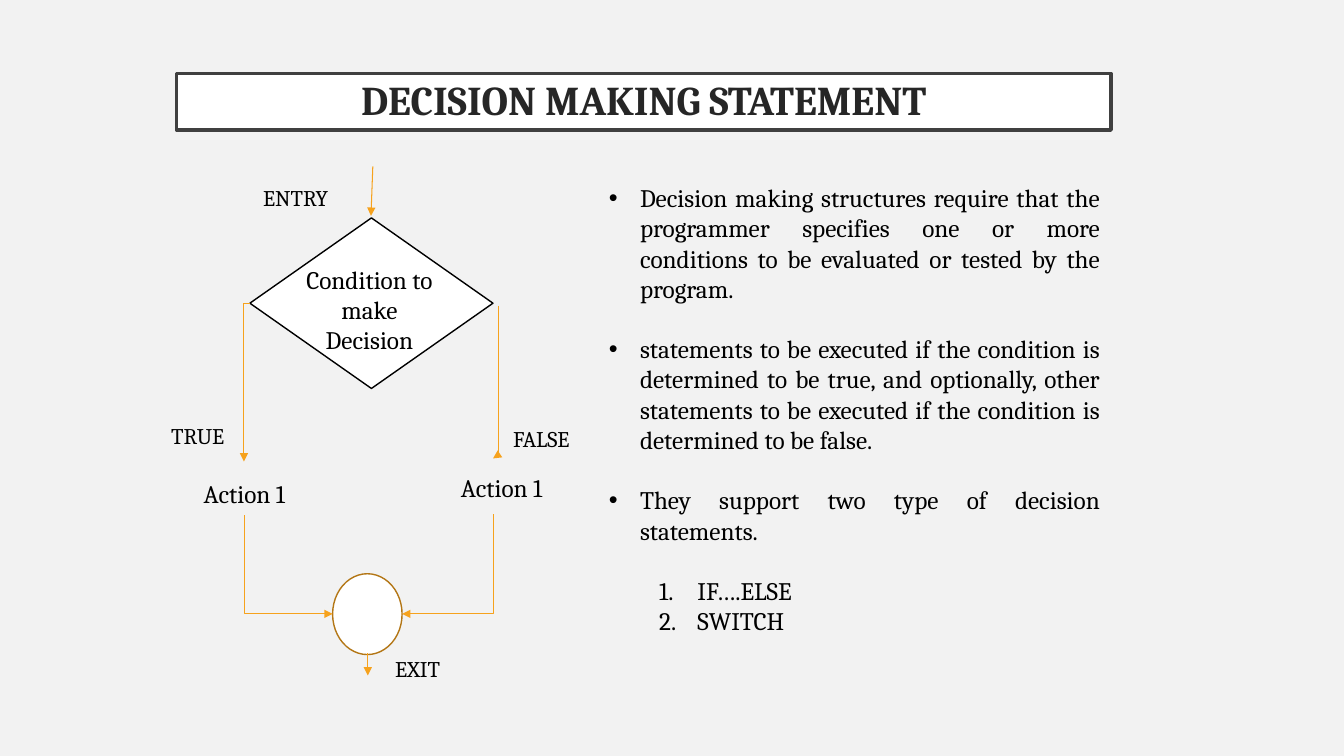
from dataclasses import dataclass

from lxml.etree import SubElement
from pptx import Presentation
from pptx.dml.color import RGBColor
from pptx.enum.shapes import MSO_CONNECTOR as Link, MSO_SHAPE as Shape
from pptx.enum.text import MSO_ANCHOR as Anchor, PP_ALIGN as Align
from pptx.oxml.ns import qn
from pptx.util import Inches, Pt

BACKGROUND = RGBColor(0xF2, 0xF2, 0xF2)
WHITE = RGBColor(0xFF, 0xFF, 0xFF)
BLACK = RGBColor(0, 0, 0)
FRAME = RGBColor(0x40, 0x40, 0x40)
TITLE_INK = RGBColor(0x26, 0x26, 0x26)
ARROW = RGBColor(0xF6, 0xA2, 0x1D)
RING = RGBColor(0xB3, 0x76, 0x15)
FONT = "Cambria"

POINTS = [
    "Decision making structures require that the programmer specifies one or more "
    "conditions to be evaluated or tested by the program.",
    "statements to be executed if the condition is determined to be true, and "
    "optionally, other statements to be executed if the condition is determined "
    "to be false.",
    "They support two type of decision statements.",
]
STATEMENTS = ["IF….ELSE", "SWITCH"]


@dataclass
class Box:
    """A region whose areas are given in percent of its size."""
    left: int
    top: int
    width: int
    height: int

    def point(self, x, y):
        """Return the position at x and y percent."""
        return (int(self.left + self.width * x / 100),
                int(self.top + self.height * y / 100))

    def area(self, x, y, width, height):
        """Return the area at x and y percent with a size in percent."""
        return Box(*self.point(x, y), int(self.width * width / 100),
                   int(self.height * height / 100))

    def place(self):
        """Return left, top, width and height."""
        return self.left, self.top, self.width, self.height


def style(paragraph, size, color=BLACK, bold=False, align=Align.LEFT):
    """Format a paragraph and its runs."""
    paragraph.alignment = align
    for run in paragraph.runs:
        run.font.name, run.font.size, run.font.bold = FONT, Pt(size), bold
        run.font.color.rgb = color


def add_label(slide, box, text, size, align=Align.LEFT):
    """Add a wrapping line of text."""
    frame = slide.shapes.add_textbox(*box.place()).text_frame
    frame.word_wrap = True
    frame.text = text
    style(frame.paragraphs[0], size, align=align)


def add_node(slide, box, kind, color):
    """Add a white flowchart symbol with a coloured outline."""
    node = slide.shapes.add_shape(kind, *box.place())
    node.shadow.inherit = False
    node.fill.solid()
    node.fill.fore_color.rgb = WHITE
    node.line.color.rgb = color
    node.line.width = Pt(1)


def add_arrow(slide, kind, start, end):
    """Add an arrow with a triangular head."""
    arrow = slide.shapes.add_connector(kind, *start, *end)
    arrow.line.color.rgb = ARROW
    arrow.line.width = Pt(0.75)
    properties = arrow._element.spPr
    SubElement(properties.find(qn("a:ln")), qn("a:tailEnd"), type="triangle")
    SubElement(properties, qn("a:effectLst"))
    return arrow


def add_bent_arrow(slide, start, end, down_first):
    """Add an arrow with one corner, leaving downwards or sideways."""
    (x1, y1), (x2, y2) = start, end
    if down_first:
        middle_x, middle_y = (x1 + x2) // 2, (y1 + y2) // 2
        half_run, half_rise = abs(y2 - y1) // 2, abs(x2 - x1) // 2
        side = 1 if x2 < x1 else -1
        start = middle_x - side * half_run, middle_y - half_rise
        end = middle_x + side * half_run, middle_y + half_rise
    properties = add_arrow(slide, Link.ELBOW, start, end)._element.spPr
    properties.find(qn("a:prstGeom")).set("prst", "bentConnector2")
    if down_first:
        turn = 90 if x2 < x1 else 270
        properties.find(qn("a:xfrm")).set("rot", str(turn * 60000))


def add_title(slide, box):
    """Place the framed title."""
    title = slide.shapes.title
    title.left, title.top, title.width, title.height = box.place()
    title.fill.solid()
    title.fill.fore_color.rgb = WHITE
    title.line.color.rgb = FRAME
    title.line.width = Pt(2.5)
    frame = title.text_frame
    frame.text = "DECISION MAKING STATEMENT"
    frame.vertical_anchor = Anchor.MIDDLE
    frame.margin_left = frame.margin_right = Inches(0.2)
    frame.margin_top = frame.margin_bottom = Inches(0.2)
    frame.paragraphs[0].line_spacing = 0.9
    style(frame.paragraphs[0], 29.2, TITLE_INK, True, Align.CENTER)


def add_flowchart(slide, box):
    """Draw the two-way decision flowchart."""
    add_node(slide, box.area(19.4, 9.9, 53.2, 32.7), Shape.DIAMOND, BLACK)
    add_node(slide, box.area(37.5, 78.1, 15.2, 15.5), Shape.OVAL, RING)
    for text, share in [
        ("Action 1", (2.2, 58.9, 32, 7.7)),
        ("Action 1", (58.5, 57.8, 32, 7.7)),
        ("Condition to make Decision", (29.1, 17.8, 32.9, 19.5)),
    ]:
        add_label(slide, box.area(*share), text, 18, Align.CENTER)
    for text, x, y in [("ENTRY", 20.1, 2.5), ("TRUE", 0, 48.1),
                       ("FALSE", 74.8, 48.7), ("EXIT", 49, 92.8)]:
        add_label(slide, box.area(x, y, 24.7, 7.1), text, 16)
    for start, end, down_first in [
        ((19.4, 26.3), (18.1, 56.6), False),
        ((73.7, 26.7), (72.6, 56), True),
        ((18.1, 66.9), (37.5, 85.8), True),
        ((72.6, 66.7), (52.7, 85.8), True),
    ]:
        add_bent_arrow(slide, box.point(*start), box.point(*end), down_first)
    for start, end in [((46.3, 0), (45.9, 9.5)), ((45.2, 93.4), (45.2, 97.6))]:
        add_arrow(slide, Link.STRAIGHT, box.point(*start), box.point(*end))


def add_explanation(slide, box):
    """Write the bullets and the numbered statements."""
    frame = slide.shapes.add_textbox(*box.place()).text_frame
    frame.word_wrap = True
    frame.text = "\n".join(POINTS + STATEMENTS)
    for index, paragraph in enumerate(frame.paragraphs):
        numbered = index >= len(POINTS)
        margin, hanging = (0.88, 0.38) if numbered else (0.31, 0.31)
        properties = paragraph._p.get_or_add_pPr()
        properties.set("marL", str(Inches(margin)))
        properties.set("indent", str(-Inches(hanging)))
        if 0 < index <= len(POINTS):
            paragraph.space_before = Pt(21.6)
        if numbered:
            paragraph.level = 1
            SubElement(properties, qn("a:buFont"), typeface="+mj-lt")
            SubElement(properties, qn("a:buAutoNum"), type="arabicPeriod")
        else:
            SubElement(properties, qn("a:buFont"), typeface="Arial")
            SubElement(properties, qn("a:buChar"), char="•")
        style(paragraph, 18, align=Align.JUSTIFY)


def main():
    """Build and save the slide."""
    deck = Presentation()
    deck.slide_width, deck.slide_height = Inches(13.33), Inches(7.5)
    slide = deck.slides.add_slide(deck.slide_layouts[5])
    slide.background.fill.solid()
    slide.background.fill.fore_color.rgb = BACKGROUND
    page = Box(0, 0, deck.slide_width, deck.slide_height)
    add_title(slide, page.area(13.13, 9.73, 69.54, 7.47))
    add_explanation(slide, page.area(44.56, 23.47, 38.03, 61.87))
    add_flowchart(slide, page.area(12, 22, 34, 69))
    deck.save("out.pptx")


if __name__ == "__main__":
    main()
